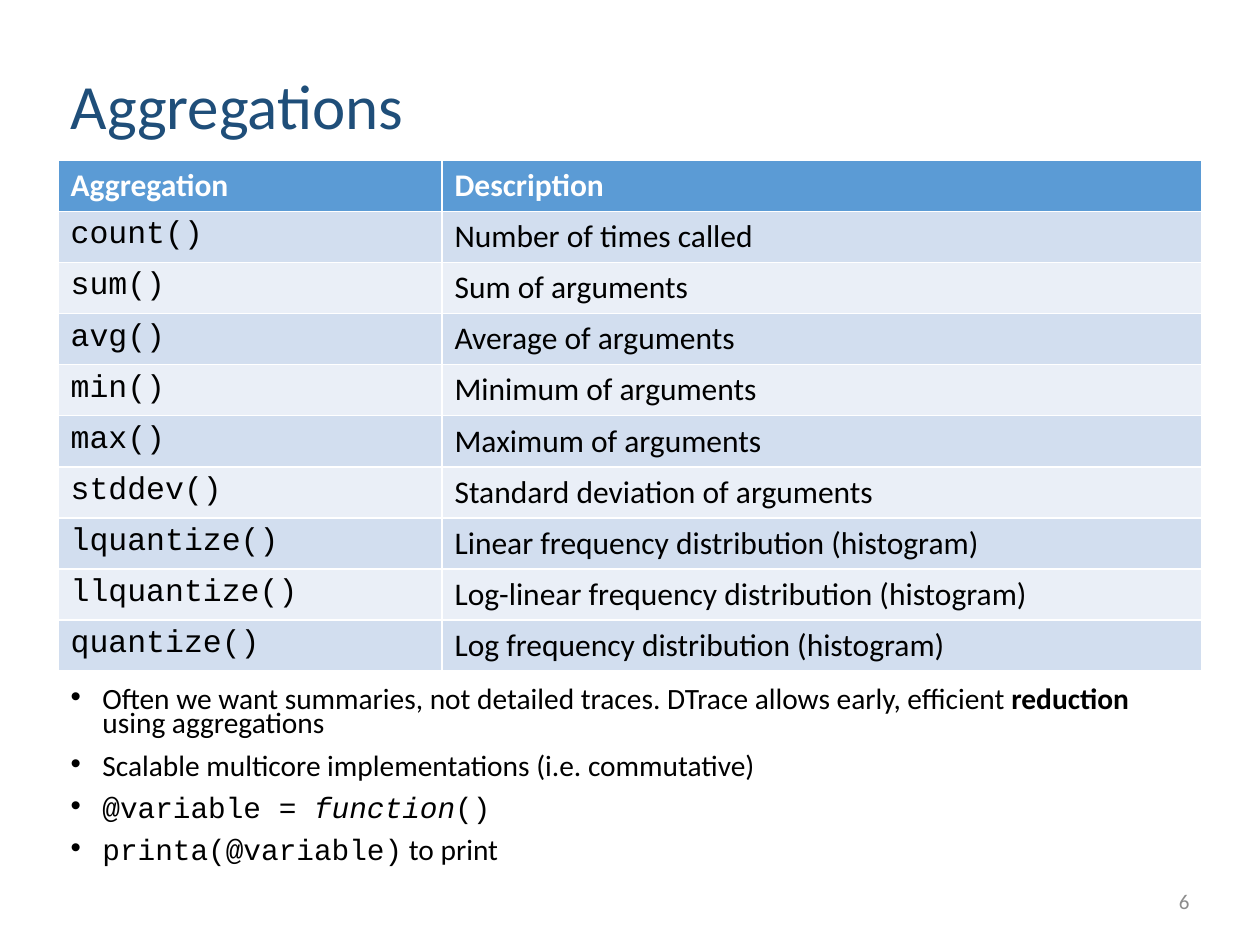
from lxml.etree import SubElement
from pptx import Presentation
from pptx.dml.color import RGBColor
from pptx.enum.text import MSO_ANCHOR as Anchor, MSO_AUTO_SIZE as AutoSize, PP_ALIGN as Align
from pptx.oxml.ns import qn
from pptx.util import Cm, Pt

# Content
TITLE = "Aggregations"
PAGE_NUMBER = "6"
HEADER = ("Aggregation", "Description")
AGGREGATIONS = [
    ("count()", "Number of times called"),
    ("sum()", "Sum of arguments"),
    ("avg()", "Average of arguments"),
    ("min()", "Minimum of arguments"),
    ("max()", "Maximum of arguments"),
    ("stddev()", "Standard deviation of arguments"),
    ("lquantize()", "Linear frequency distribution (histogram)"),
    ("llquantize()", "Log-linear frequency distribution (histogram)"),
    ("quantize()", "Log frequency distribution (histogram)"),
]
# Each bullet is a list of (text, styles)
NOTES = [
    [("Often we want summaries, not detailed traces. DTrace allows early, efficient ", ""),
     ("reduction", "bold"), (" using aggregations", "")],
    [("Scalable multicore implementations (i.e. commutative)", "")],
    [("@variable = ", "code"), ("function", "code italic"), ("()", "code")],
    [("printa(@variable)", "code"), (" to print", "")],
]

# Look
BODY_FONT, CODE_FONT = "Calibri", "Courier New"
NAVY = RGBColor(0x1F, 0x4E, 0x79)
BLUE = RGBColor(0x5B, 0x9B, 0xD5)
BAND_DARK = RGBColor(0xD2, 0xDE, 0xEF)
BAND_LIGHT = RGBColor(0xEA, 0xEF, 0xF7)
BLACK = RGBColor(0, 0, 0)
WHITE = RGBColor(0xFF, 0xFF, 0xFF)
GRAY = RGBColor(0x8C, 0x8C, 0x8C)

LEFT, WIDTH = Cm(1.17), Cm(23.06)
COLUMN_WIDTHS = (Cm(7.74), Cm(15.32))
ROW_HEIGHT = Cm(1.03)
INDENT = Cm(0.64)


def style(font, size, color, name=BODY_FONT, bold=False, italic=False):
    font.name, font.size, font.bold, font.italic = name, Pt(size), bold, italic
    font.color.rgb = color


def place(shape, left, top, width, height):
    shape.left, shape.top, shape.width, shape.height = left, top, width, height


def add_bullet(paragraph):
    props = paragraph._p.get_or_add_pPr()
    props.set("marL", str(INDENT))
    props.set("indent", str(-INDENT))
    SubElement(props, qn("a:buFont"), typeface="Arial")
    SubElement(props, qn("a:buChar"), char="•")


deck = Presentation()
deck.slide_width, deck.slide_height = Cm(25.4), Cm(19.05)
slide = deck.slides.add_slide(deck.slide_layouts[1])

# Title
title = slide.shapes.title
place(title, LEFT, Cm(0.64), WIDTH, Cm(3.12))
title.text_frame.text = TITLE
title.text_frame.auto_size = AutoSize.NONE
title.text_frame.vertical_anchor = Anchor.MIDDLE
heading = title.text_frame.paragraphs[0]
heading.alignment = Align.LEFT
heading.line_spacing = 0.9
style(heading.runs[0].font, 36, NAVY)

# Notes below the table
notes = slide.placeholders[1]
place(notes, LEFT, Cm(13.77), WIDTH, Cm(3.91))
notes_frame = notes.text_frame
notes_frame.auto_size = AutoSize.NONE
for index, pieces in enumerate(NOTES):
    note = notes_frame.add_paragraph() if index else notes_frame.paragraphs[0]
    note.line_spacing = 0.7
    note.space_before = Pt(10 if index else 0)
    add_bullet(note)
    for text, styles in pieces:
        run = note.add_run()
        run.text = text
        style(run.font, 16.8, BLACK, CODE_FONT if "code" in styles else BODY_FONT,
              "bold" in styles, "italic" in styles)

# Table of aggregations
rows = [HEADER, *AGGREGATIONS]
table = slide.shapes.add_table(len(rows), len(HEADER), LEFT, Cm(3.23),
                               WIDTH, ROW_HEIGHT * len(rows)).table
for column, width in zip(table.columns, COLUMN_WIDTHS):
    column.width = width
for r, row in enumerate(rows):
    is_header = r == 0
    fill = BLUE if is_header else (BAND_LIGHT, BAND_DARK)[r % 2]
    for c, text in enumerate(row):
        cell = table.cell(r, c)
        cell.fill.solid()
        cell.fill.fore_color.rgb = fill
        cell.text_frame.text = text
        style(cell.text_frame.paragraphs[0].runs[0].font, 18,
              WHITE if is_header else BLACK,
              CODE_FONT if c == 0 and not is_header else BODY_FONT, bold=is_header)

# Page number
page = slide.shapes.add_textbox(Cm(17.93), Cm(17.65), Cm(6.3), Cm(1.02)).text_frame
page.word_wrap = True
page.vertical_anchor = Anchor.MIDDLE
page.text = PAGE_NUMBER
page.paragraphs[0].alignment = Align.RIGHT
style(page.paragraphs[0].runs[0].font, 12, GRAY)

deck.save("out.pptx")
